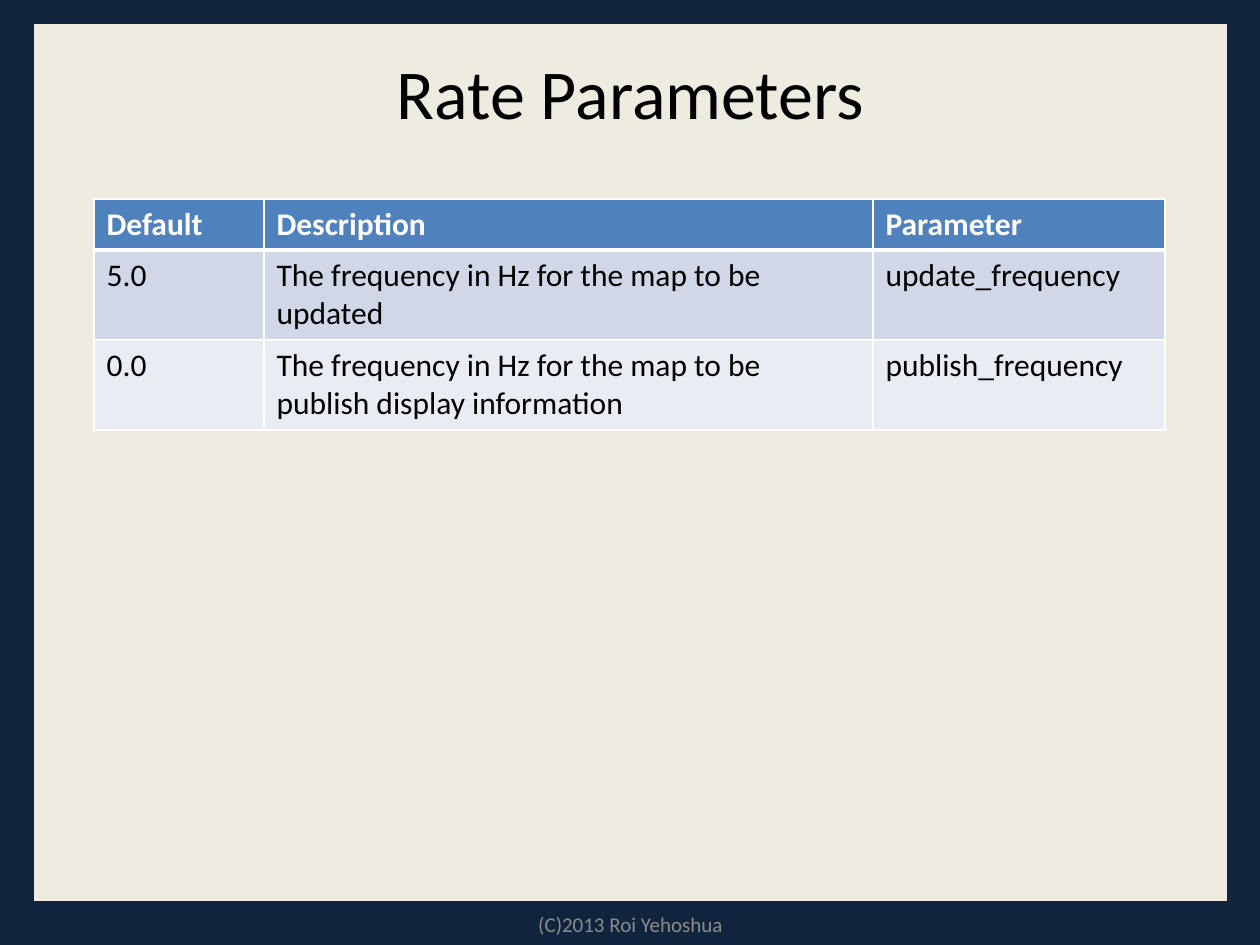
import dataclasses

import pptx
import pptx.dml.color
import pptx.enum.shapes
import pptx.enum.text
import pptx.oxml
import pptx.oxml.ns
import pptx.util

EMU_PER_PX = 914400 / 126


@dataclasses.dataclass(frozen=True)
class Theme:
    font: str = "Calibri"
    frame: str = "10243E"
    panel: str = "EEECE1"
    ink: str = "000000"
    muted: str = "8B8B8B"
    header: str = "4F81BD"
    header_ink: str = "FFFFFF"
    bands: tuple = ("D0D8E7", "E9ECF3")
    rule: str = "FFFFFF"
    title_size: int = 40
    table_size: int = 18
    footer_size: int = 12
    panel_line: float = 2
    thin_rule: float = 0.96
    header_rule: float = 3


THEME = Theme()
PARAMETERS = [
    ("Default", "Description", "Parameter"),
    ("5.0", "The frequency in Hz for the map to be updated", "update_frequency"),
    ("0.0", "The frequency in Hz for the map to be publish display information",
     "publish_frequency"),
]


def px(length):
    return pptx.util.Emu(round(length * EMU_PER_PX))


def rgb(value):
    return pptx.dml.color.RGBColor.from_string(value)


def paint(fill, color):
    fill.solid()
    fill.fore_color.rgb = rgb(color)


def write(frame, text, size, color, align, bold=False):
    frame.word_wrap = True
    paragraph = frame.paragraphs[0]
    paragraph.alignment = align
    run = paragraph.add_run()
    run.text = text
    run.font.name = THEME.font
    run.font.size = pptx.util.Pt(size)
    run.font.bold = bold
    run.font.color.rgb = rgb(color)


def rule_cell(cell, top, bottom):
    """Draw the four borders of a cell, which must come before its fill."""
    properties = cell._tc.get_or_add_tcPr()
    widths = {"L": THEME.thin_rule, "R": THEME.thin_rule, "T": top, "B": bottom}
    for side, width in widths.items():
        properties.append(pptx.oxml.parse_xml(
            f'<a:ln{side} {pptx.oxml.ns.nsdecls("a")} w="{pptx.util.Pt(width)}">'
            f'<a:solidFill><a:srgbClr val="{THEME.rule}"/></a:solidFill>'
            f'</a:ln{side}>'))


def add_panel(slide, left, top, width, height):
    panel = slide.shapes.add_shape(
        pptx.enum.shapes.MSO_SHAPE.RECTANGLE,
        px(left), px(top), px(width), px(height))
    panel.shadow.inherit = False
    paint(panel.fill, THEME.panel)
    panel.line.color.rgb = rgb(THEME.frame)
    panel.line.width = pptx.util.Pt(THEME.panel_line)
    # Keep the panel behind the title placeholder
    slide.shapes._spTree.insert(2, panel._element)


def add_title(slide, text, left, top, width, height):
    title = slide.shapes.title
    title.left, title.top = px(left), px(top)
    title.width, title.height = px(width), px(height)
    title.text_frame.vertical_anchor = pptx.enum.text.MSO_ANCHOR.MIDDLE
    write(title.text_frame, text, THEME.title_size, THEME.ink,
          pptx.enum.text.PP_ALIGN.CENTER)


def add_footer(slide, text, left, top, width, height):
    footer = slide.shapes.add_textbox(px(left), px(top), px(width), px(height))
    footer.text_frame.vertical_anchor = pptx.enum.text.MSO_ANCHOR.MIDDLE
    write(footer.text_frame, text, THEME.footer_size, THEME.muted,
          pptx.enum.text.PP_ALIGN.CENTER)


def add_parameter_table(slide, entries, left, top, column_widths, row_heights):
    table = slide.shapes.add_table(
        len(entries), len(column_widths), px(left), px(top),
        px(sum(column_widths)), px(sum(row_heights))).table
    for column, width in zip(table.columns, column_widths):
        column.width = px(width)
    for row, height in zip(table.rows, row_heights):
        row.height = px(height)

    for r, entry in enumerate(entries):
        is_header = r == 0
        fill = THEME.header if is_header else THEME.bands[(r - 1) % 2]
        ink = THEME.header_ink if is_header else THEME.ink
        above = THEME.header_rule if r == 1 else THEME.thin_rule
        below = THEME.header_rule if is_header else THEME.thin_rule
        for c, text in enumerate(entry):
            cell = table.cell(r, c)
            rule_cell(cell, above, below)
            paint(cell.fill, fill)
            write(cell.text_frame, text, THEME.table_size, ink,
                  pptx.enum.text.PP_ALIGN.LEFT, bold=is_header)


def main():
    deck = pptx.Presentation()
    deck.slide_width, deck.slide_height = px(1260), px(945)
    slide = deck.slides.add_slide(deck.slide_layouts[5])
    paint(slide.background.fill, THEME.frame)

    # Frame and heading
    add_panel(slide, 32, 22, 1197, 881)
    add_title(slide, "Rate Parameters", 32, 26, 1197, 131)

    # Parameters and credit line
    add_parameter_table(slide, PARAMETERS, 94, 199, (170, 609, 292), (51, 90, 90))
    add_footer(slide, "(C)2013 Roi Yehoshua", 431, 903, 399, 42)

    deck.save("out.pptx")


if __name__ == "__main__":
    main()
